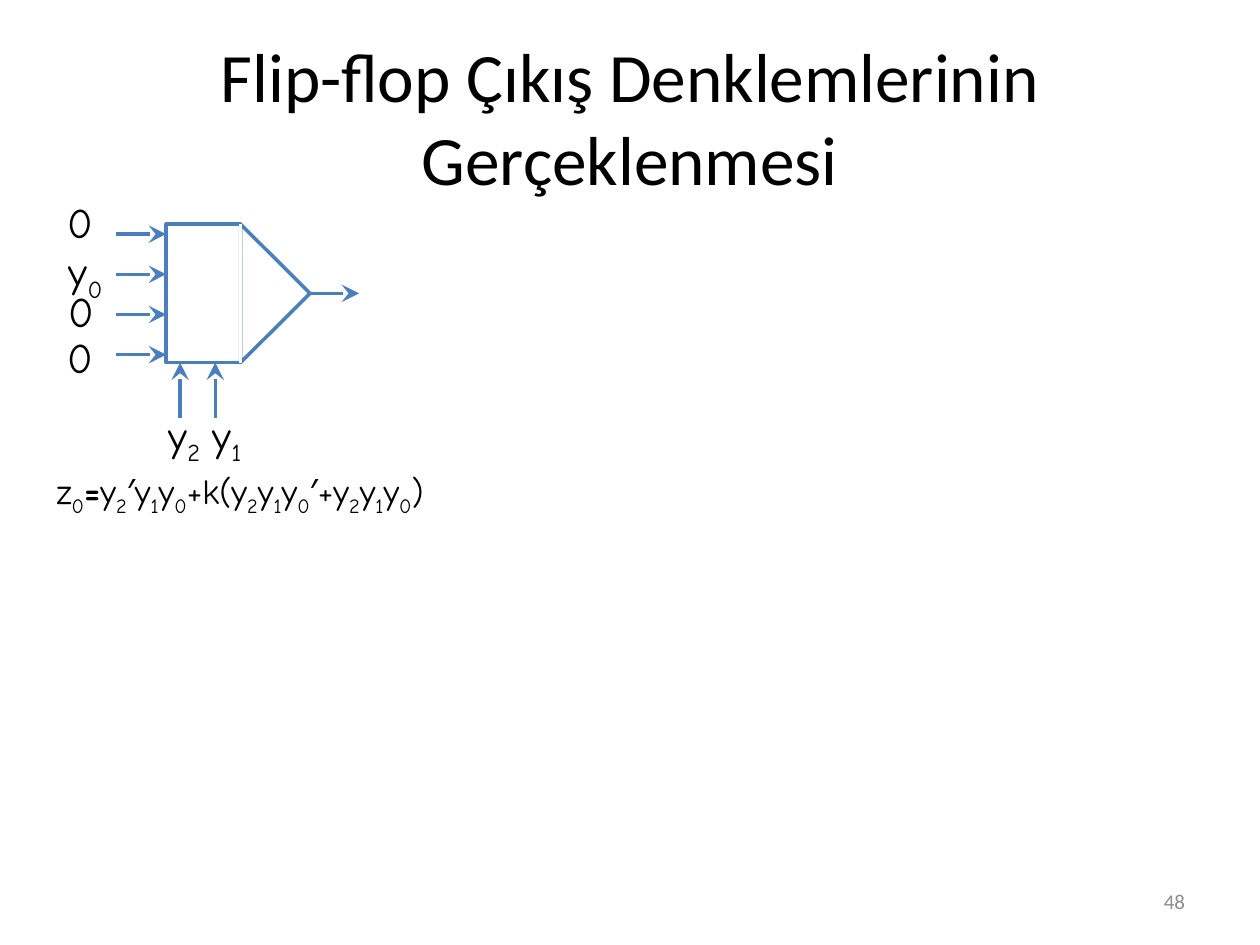
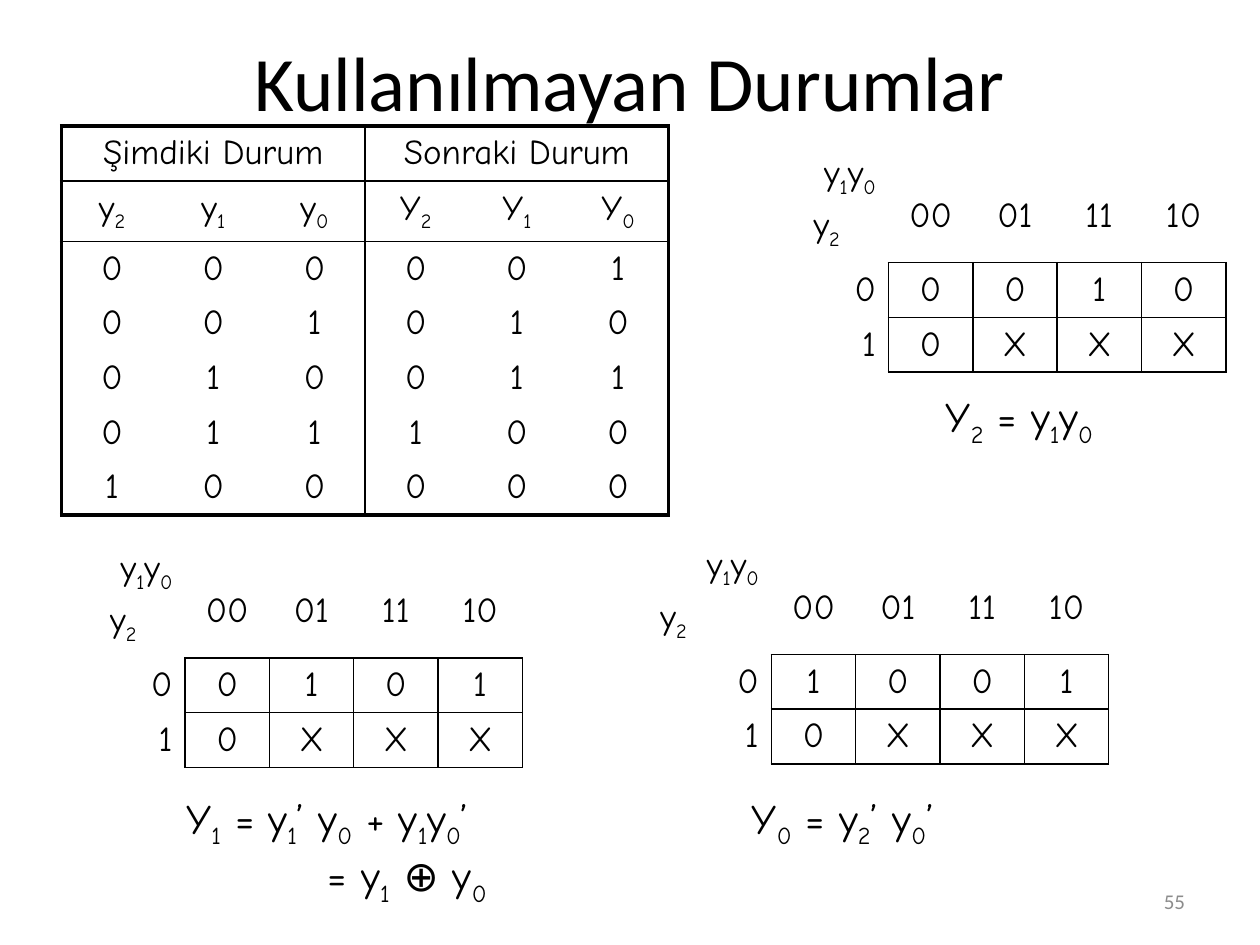
import pptx
import pptx.dml.color
import pptx.enum.shapes
import pptx.enum.text
import pptx.oxml
import pptx.oxml.ns
import pptx.util
from lxml import etree

Cm = pptx.util.Cm
Pt = pptx.util.Pt
ALIGN = pptx.enum.text.PP_ALIGN
ANCHOR = pptx.enum.text.MSO_ANCHOR
SHAPE = pptx.enum.shapes.MSO_SHAPE


def color(value):
    return pptx.dml.color.RGBColor.from_string(value)


def add_element(parent, tag, **attributes):
    return etree.SubElement(parent, pptx.oxml.ns.qn(tag), **attributes)


class Slides:
    """Shared style, the deck and the page being filled."""

    HEADING, HAND = "Calibri", "Comic Neue"
    INK, BLUE, GRAY, WHITE = "000000", "4B7EBC", "8C8C8C", "FFFFFF"

    def __init__(self):
        self.deck = pptx.Presentation()
        self.deck.slide_width, self.deck.slide_height = Cm(25.4), Cm(19.05)
        self.page = None

    def new_page(self, title, number, title_top, title_size):
        self.page = self.deck.slides.add_slide(self.deck.slide_layouts[6])
        self.text(title, 1.27, title_top, 22.86, 3.18, title_size, self.HEADING,
                  align=ALIGN.CENTER, anchor=ANCHOR.MIDDLE, wrap=True)
        self.text(number, 18.21, 17.65, 5.93, 1.02, 12, self.HEADING, self.GRAY,
                  ALIGN.RIGHT, ANCHOR.MIDDLE, wrap=True)

    def fill_text(self, frame, text, size, font, ink, aligns):
        """Set lines of text: _ lowers the next character, *...* is bold."""
        for index, (line, align) in enumerate(zip(text.split("\n"), aligns)):
            para = frame.add_paragraph() if index else frame.paragraphs[0]
            para.alignment = align
            for order, part in enumerate(line.split("*")):
                plain, *lowered = part.split("_")
                pieces = [(plain, False)]
                for chunk in lowered:
                    pieces += [(chunk[0], True), (chunk[1:], False)]
                for words, is_low in pieces:
                    if not words:
                        continue
                    span = para.add_run()
                    span.text = words
                    span.font.size, span.font.name = Pt(size), font
                    span.font.bold = order % 2 == 1
                    span.font.color.rgb = color(ink)
                    if is_low:
                        span.font._element.set("baseline", "-25000")

    def text(self, text, left, top, width, height, size=24, font=HAND, ink=INK,
             align=ALIGN.LEFT, anchor=ANCHOR.TOP, wrap=False):
        box = self.page.shapes.add_textbox(Cm(left), Cm(top), Cm(width), Cm(height))
        frame = box.text_frame
        frame.word_wrap, frame.vertical_anchor = wrap, anchor
        self.fill_text(frame, text, size, font, ink, [align] * (text.count("\n") + 1))
        return box

    def outline(self, kind, left, top, width, height, rotation=0):
        shape = self.page.shapes.add_shape(kind, Cm(left), Cm(top), Cm(width), Cm(height))
        shape.rotation = rotation
        shape.shadow.inherit = False
        shape.fill.background()
        shape.line.color.rgb, shape.line.width = color(self.BLUE), Pt(2)

    def line(self, start, end, ink=BLUE, arrow=True):
        line = self.page.shapes.add_connector(
            pptx.enum.shapes.MSO_CONNECTOR.STRAIGHT, *map(Cm, start + end))
        line.line.color.rgb, line.line.width = color(ink), Pt(2)
        if arrow:
            add_element(line.line._get_or_add_ln(), "a:tailEnd",
                        type="stealth", w="lg", len="lg")
        add_element(line._element.spPr, "a:effectLst")

    def table(self, left, top, widths, heights):
        frame = self.page.shapes.add_table(
            len(heights), len(widths), Cm(left), Cm(top), Cm(sum(widths)), Cm(sum(heights)))
        table = frame.table
        table.first_row = table.horz_banding = False
        for column, width in zip(table.columns, widths):
            column.width = Cm(width)
        for row, height in zip(table.rows, heights):
            row.height = Cm(height)
        return table

    def cell(self, cell, text, aligns=(ALIGN.CENTER,), top_margin=None):
        self.fill_text(cell.text_frame, text, 20, self.HAND, self.INK, aligns)
        if top_margin is None:
            cell.vertical_anchor = ANCHOR.MIDDLE
        else:
            cell.margin_top = Cm(top_margin)

    def rule(self, table, horizontal, vertical):
        """Draw cell borders; the functions give the width of each grid edge."""
        for row in range(len(table.rows)):
            for column in range(len(table.columns)):
                cell = table.cell(row, column)
                right = column + (cell.span_width if cell.is_merge_origin else 1)
                properties = cell._tc.get_or_add_tcPr()
                sides = {"L": vertical(column, row), "R": vertical(right, row),
                         "T": horizontal(row, column), "B": horizontal(row + 1, column)}
                for side, width in sides.items():
                    border = add_element(properties, "a:ln" + side, w=str(int(Pt(width))))
                    if width:
                        fill = add_element(border, "a:solidFill")
                        add_element(fill, "a:srgbClr", val=self.INK)
                    else:
                        add_element(border, "a:noFill")
                cell.fill.background()

    def karnaugh_map(self, left, top, rows, header=2.34, height=1.1, row_align=ALIGN.CENTER):
        table = self.table(left, top, [2.49] + [1.7] * 4, [header, height, height])
        corner = table.cell(0, 0)
        self.cell(corner, "y_1y_0\ny_2", (ALIGN.RIGHT, row_align), 0.2)
        corner.text_frame.paragraphs[1].space_before = Pt(4)
        for column, code in enumerate(("00", "01", "11", "10"), 1):
            self.cell(table.cell(0, column), code, top_margin=1.05)
        for row, values in enumerate(rows, 1):
            self.cell(table.cell(row, 0), str(row - 1), (ALIGN.RIGHT,))
            for column, value in enumerate(values, 1):
                self.cell(table.cell(row, column), value)

        def inner(edge, lane):
            return 1 if edge and lane else 0

        self.rule(table, inner, inner)

    def state_table(self, left, top, groups, names, states):
        table = self.table(left, top, [2.04] * 6, [1.11, 1.21] + [1.1] * len(states))
        for column, group in zip((0, 3), groups):
            table.cell(0, column).merge(table.cell(0, column + 2))
            self.cell(table.cell(0, column), group)
        for row, values in enumerate([names] + states, 1):
            for column, value in enumerate(values):
                self.cell(table.cell(row, column), value)
        across = {0: 2.25, 1: 1, 2: 1, len(states) + 2: 2.25}
        down = {0: 2.25, 3: 1, 6: 2.25}
        self.rule(table, lambda edge, column: across.get(edge, 0),
                  lambda edge, row: down.get(edge, 0))


def multiplexer_page(slides):
    slides.new_page("Flip-flop Çıkış Denklemlerinin Gerçeklenmesi", "48", 0.76, 39.6)

    # Multiplexer body: a rectangle and a triangle with a hidden shared side
    left, top, width, height, nose = 3.35, 4.52, 1.5, 2.79, 1.4
    right, bottom, middle = left + width, top + height, top + height / 2
    slides.outline(SHAPE.RECTANGLE, left, top, width, height)
    slides.outline(SHAPE.ISOSCELES_TRIANGLE, right + (nose - height) / 2,
                   middle - nose / 2, height, nose, 90)
    slides.line((right, bottom), (right, top), slides.WHITE, arrow=False)

    # Select, data and output arrows
    for x in (3.63, 4.34):
        slides.line((x, 8.43), (x, bottom))
    for index in range(4):
        y = 4.72 + 0.81 * index
        slides.line((2.34, y), (left, y))
    slides.line((right + nose, middle), (7.24, middle))

    # Signal names and the equation
    for name, x, y in (("0", 1.12, 3.84), ("y_0", 1.14, 4.83), ("0", 1.14, 5.64),
                       ("0", 1.12, 6.55), ("y_2", 3.15, 8.13), ("y_1", 4.04, 8.13)):
        slides.text(name, x, y, 1.3 if "_" in name else 1.04, 1.27)
    slides.text("z_0*=*y_2′y_1y_0+k(y_2y_1y_0′+y_2y_1y_0)", 0.89, 9.35, 9.27, 1.12, 20)


def unused_states_page(slides):
    slides.new_page("Kullanılmayan Durumlar", "55", 0.03, 44)

    # Karnaugh maps with their equations
    slides.karnaugh_map(15.42, 2.9, ("0010", "0XXX"), 2.21, 1.07)
    slides.text("Y_2 = y_1y_0", 18.82, 7.75, 3.84, 1.27)
    slides.karnaugh_map(1.24, 10.87, ("0101", "0XXX"))
    sum_box = slides.text("Y_1 = y_1’ y_0 + y_1y_0’\n= y_1 ⊕ y_0", 3.51, 15.85, 6.73, 2.31)
    second_line = sum_box.text_frame.paragraphs[1]
    second_line._p.get_or_add_pPr().set("marL", str(int(Cm(2.85))))
    slides.karnaugh_map(13.06, 10.8, ("1001", "0XXX"), row_align=ALIGN.LEFT)
    slides.text("Y_0 = y_2’ y_0’", 14.91, 15.85, 4.5, 1.27)

    # Present and next states
    slides.state_table(1.24, 2.54, ("Şimdiki Durum", "Sonraki Durum"),
                       ["y_2", "y_1", "y_0", "Y_2", "Y_1", "Y_0"],
                       ["000001", "001010", "010011", "011100", "100000"])


def main():
    slides = Slides()
    multiplexer_page(slides)
    unused_states_page(slides)
    slides.deck.save("out.pptx")


if __name__ == "__main__":
    main()
